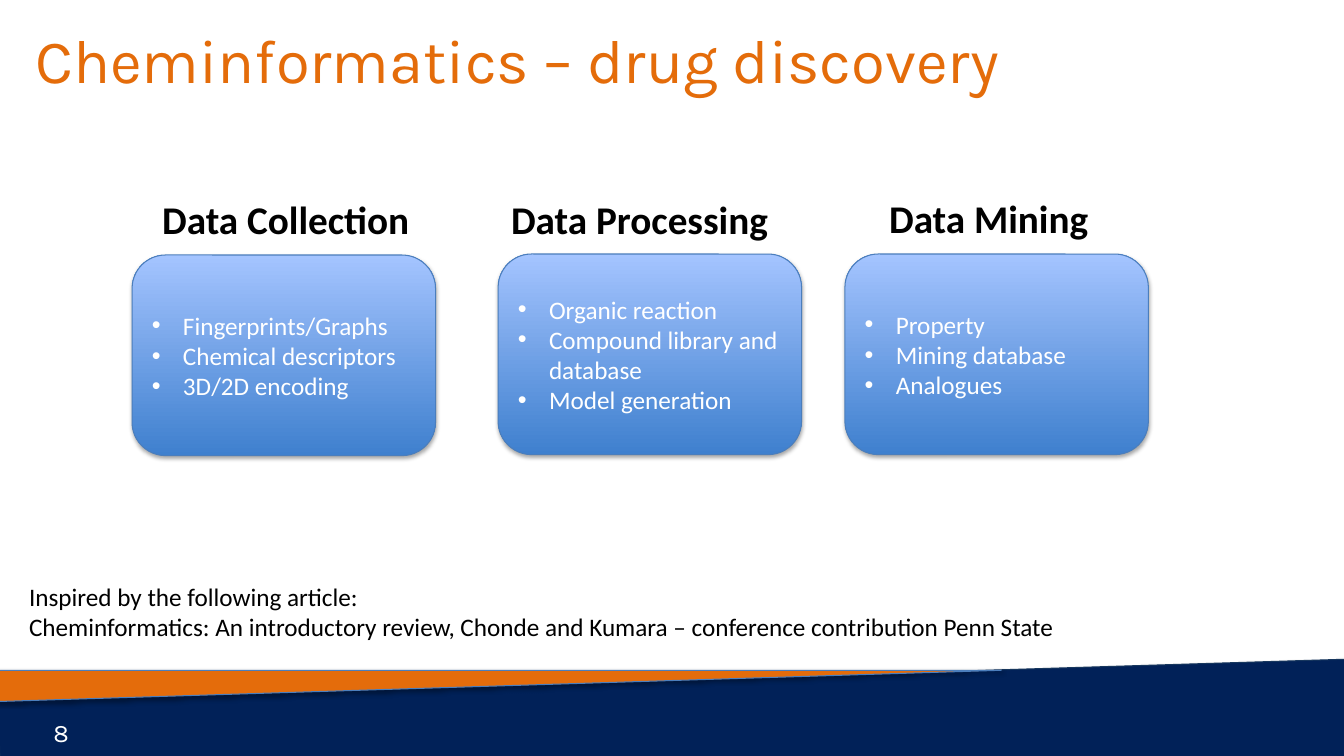
from lxml import etree
from pptx import Presentation
from pptx.dml.color import RGBColor
from pptx.enum.shapes import MSO_SHAPE
from pptx.enum.text import MSO_ANCHOR, MSO_AUTO_SIZE, PP_ALIGN
from pptx.oxml.ns import qn
from pptx.util import Inches, Pt

ROUNDED, TRIANGLE = MSO_SHAPE.ROUNDED_RECTANGLE, MSO_SHAPE.RIGHT_TRIANGLE
TOP, MIDDLE = MSO_ANCHOR.TOP, MSO_ANCHOR.MIDDLE
LEFT = PP_ALIGN.LEFT
NO_FIT, GROW = MSO_AUTO_SIZE.NONE, MSO_AUTO_SIZE.SHAPE_TO_FIT_TEXT

NAVY, ORANGE, TITLE_ORANGE = "012158", "E46C0B", "E46C0A"
BLUE_BOTTOM, BLUE_TOP, OUTLINE = "3F80CE", "A4C4FF", "4B7EBC"
WHITE, BLACK = "FFFFFF", "000000"

# heading, heading box (left, top, width), card (left, top), list
STEPS = [
    ("Data Collection", (1.51, 1.89, 2.69), (1.31, 2.53),
     ["Fingerprints/Graphs", "Chemical descriptors", "3D/2D encoding"]),
    ("Data Processing", (4.97, 1.89, 2.78), (4.94, 2.52),
     ["Organic reaction", "Compound library and database", "Model generation"]),
    ("Data Mining", (8.72, 1.88, 2.2), (8.38, 2.52),
     ["Property", "Mining database", "Analogues"]),
]
CARD_WIDTH, CARD_HEIGHT = 3.01, 1.99


def color(hex_value):
    return RGBColor.from_string(hex_value)


def write(shape, lines, size=18, font="Calibri", ink=BLACK, bold=False,
          anchor=TOP, wrap=True, fit=NO_FIT, bulleted=False):
    frame = shape.text_frame
    frame.word_wrap, frame.auto_size = wrap, fit
    frame.vertical_anchor = anchor
    for index, line in enumerate(lines):
        paragraph = frame.add_paragraph() if index else frame.paragraphs[0]
        paragraph.text = line
        paragraph.alignment = LEFT
        if bulleted:
            add_bullet(paragraph)
        paragraph.font.name, paragraph.font.size = font, Pt(size)
        paragraph.font.bold = bold
        paragraph.font.color.rgb = color(ink)


def add_bullet(paragraph):
    properties = paragraph._p.get_or_add_pPr()
    properties.set("marL", str(Inches(0.31)))
    properties.set("indent", str(-Inches(0.31)))
    etree.SubElement(properties, qn("a:buFont")).set("typeface", "Arial")
    etree.SubElement(properties, qn("a:buChar")).set("char", "•")


class ProcessSlide:
    """Shared look of the shapes and the slide they are placed on."""

    def __init__(self, presentation):
        self.slide = presentation.slides.add_slide(presentation.slide_layouts[5])
        self.shapes = self.slide.shapes

    def title(self, text, left, top, width, height):
        title = self.shapes.title
        title.left, title.top = Inches(left), Inches(top)
        title.width, title.height = Inches(width), Inches(height)
        write(title, [text], size=44, font="Karla", ink=TITLE_ORANGE)

    def text(self, lines, left, top, width, height, **style):
        box = self.shapes.add_textbox(
            Inches(left), Inches(top), Inches(width), Inches(height))
        write(box, lines, **style)

    def finish(self, shape, outline=OUTLINE):
        """Apply the thin outline and the soft shadow below."""
        shape.line.color.rgb = color(outline)
        shape.line.width = Pt(0.75)
        shape.shadow.inherit = False
        effects = shape._element.spPr.find(qn("a:effectLst"))
        shadow = etree.SubElement(
            effects, qn("a:outerShdw"), blurRad=str(Pt(3.1)), dist=str(Pt(1.8)),
            dir="5400000", rotWithShape="0")
        tint = etree.SubElement(shadow, qn("a:srgbClr"), val=BLACK)
        etree.SubElement(tint, qn("a:alpha"), val="35000")

    def polygon(self, points, fill, outline):
        start, *rest = [(Inches(x), Inches(y)) for x, y in points]
        builder = self.shapes.build_freeform(*start)
        builder.add_line_segments(rest, close=True)
        shape = builder.convert_to_shape()
        shape.fill.solid()
        shape.fill.fore_color.rgb = color(fill)
        self.finish(shape, outline)

    def wedge(self, left, top, width, height, fill):
        """Right triangle with its long side on top."""
        shape = self.shapes.add_shape(
            TRIANGLE, Inches(left), Inches(top), Inches(width), Inches(height))
        shape._element.spPr.find(qn("a:xfrm")).set("flipV", "1")
        shape.fill.solid()
        shape.fill.fore_color.rgb = color(fill)
        self.finish(shape)

    def card(self, items, left, top):
        shape = self.shapes.add_shape(
            ROUNDED, Inches(left), Inches(top), Inches(CARD_WIDTH), Inches(CARD_HEIGHT))
        shape.fill.gradient()
        shape.fill.gradient_angle = 90
        for stop, shade in zip(shape.fill.gradient_stops, (BLUE_BOTTOM, BLUE_TOP)):
            stop.color.rgb = color(shade)
        self.finish(shape)
        write(shape, items, ink=WHITE, anchor=MIDDLE, bulleted=True)


def main():
    presentation = Presentation()
    presentation.slide_width, presentation.slide_height = Inches(13.33), Inches(7.5)
    page = ProcessSlide(presentation)
    page.polygon([(-0.02, 6.95), (13.34, 6.54), (13.35, 7.56), (0, 7.53)],
                 NAVY, "17375E")
    page.wedge(-0.02, 6.65, 9.95, 0.31, ORANGE)
    page.text(["8"], 0.43, 7.07, 3.11, 0.4, font="Karla", ink=WHITE, anchor=MIDDLE)
    page.title("Cheminformatics – drug discovery", 0.25, 0.17, 12.91, 0.56)
    for heading, (left, top, width), card_corner, items in STEPS:
        page.card(items, *card_corner)
        page.text([heading], left, top, width, 0.57,
                  size=28, bold=True, wrap=False, fit=GROW)
    page.text(["Inspired by the following article:",
               "Cheminformatics: An introductory review, Chonde and Kumara"
               " – conference contribution Penn State"],
              0.19, 5.72, 10.54, 0.71, fit=GROW)
    presentation.save("out.pptx")


if __name__ == "__main__":
    main()
